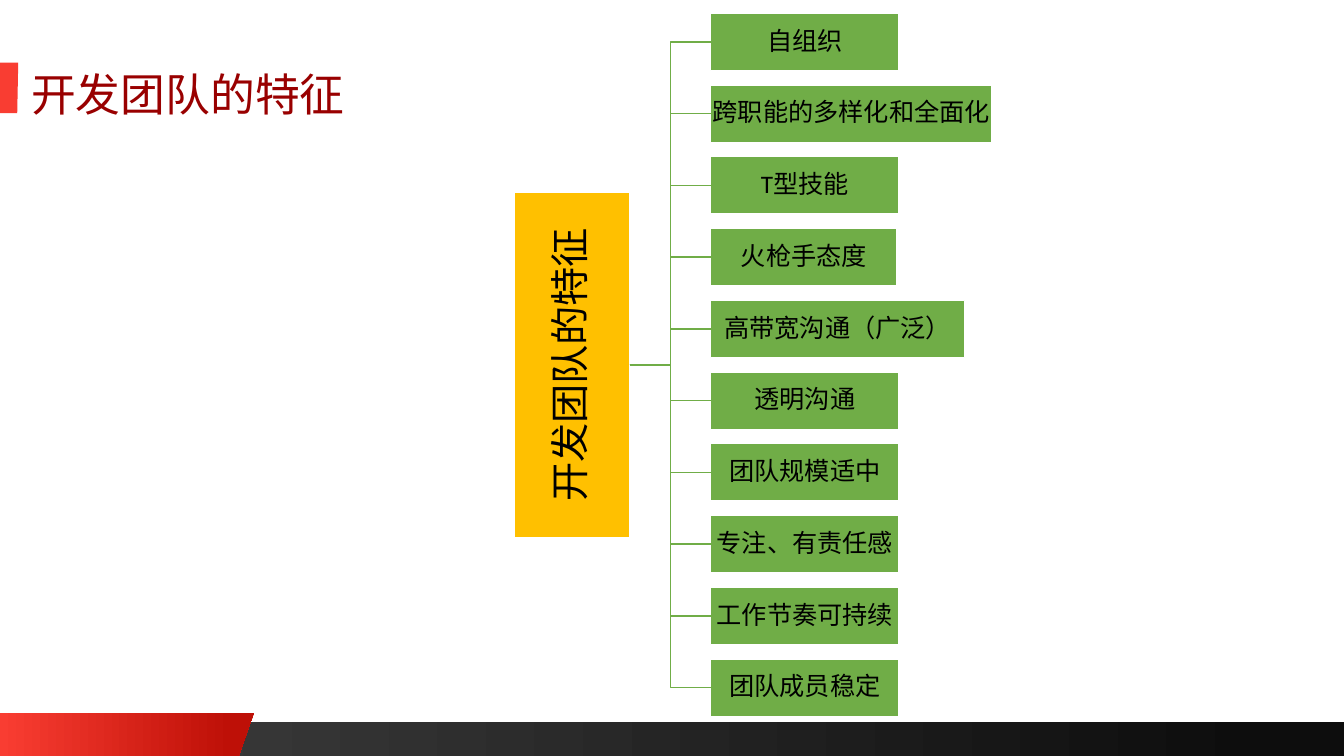
from lxml import etree
from pptx import Presentation, util as u
from pptx.dml import color
from pptx.enum import shapes, text
from pptx.oxml import ns

Pt = u.Pt
WIDTH, HEIGHT = 960, 540
TOPIC = "开发团队的特征"
NORMAL, WIDE = 134.6, 201
TRAITS = [
    ("自组织", NORMAL),
    ("跨职能的多样化和全面化", WIDE),
    ("T型技能", NORMAL),
    ("火枪手态度", 133.2),
    ("高带宽沟通（广泛）", 181.4),
    ("透明沟通", NORMAL),
    ("团队规模适中", NORMAL),
    ("专注、有责任感", NORMAL),
    ("工作节奏可持续", NORMAL),
    ("团队成员稳定", NORMAL),
]


def rgb(code):
    return color.RGBColor.from_string(code)


def write(shape, words, size=18, font="Calibri", ink="000000", inset=(1, 1),
          align=text.PP_ALIGN.CENTER, anchor=text.MSO_ANCHOR.MIDDLE,
          spacing=0.9, wrap=True):
    frame = shape.text_frame
    frame.word_wrap = wrap
    frame.auto_size = text.MSO_AUTO_SIZE.NONE
    frame.vertical_anchor = anchor
    frame.margin_left = frame.margin_right = Pt(inset[0])
    frame.margin_top = frame.margin_bottom = Pt(inset[1])
    para = frame.paragraphs[0]
    para.alignment = align
    para.line_spacing = spacing
    span = para.add_run()
    span.text = words
    span.font.size = Pt(size)
    span.font.name = font
    span.font.color.rgb = rgb(ink)


def paint(shape, fill, line=None):
    """Fill with one colour, or left to right with (position, colour) stops."""
    shape.shadow.inherit = False
    if isinstance(fill, str):
        shape.fill.solid()
        shape.fill.fore_color.rgb = rgb(fill)
    else:
        shape.fill.gradient()
        shape.fill.gradient_angle = 0
        for stop, (position, code) in zip(shape.fill.gradient_stops, fill):
            stop.position = position
            stop.color.rgb = rgb(code)
    if line:
        shape.line.color.rgb = rgb(line)
        shape.line.width = Pt(1)
    else:
        shape.line.fill.background()


def add_box(page, left, top, width, height, fill, line=None):
    box = page.shapes.add_shape(shapes.MSO_SHAPE.RECTANGLE,
                                Pt(left), Pt(top), Pt(width), Pt(height))
    paint(box, fill, line)
    return box


def add_slanted(page, left, top, width, height, slant, fill):
    """A block whose right side leans in by slant at the bottom."""
    builder = page.shapes.build_freeform(Pt(left), Pt(top))
    builder.add_line_segments([
        (Pt(left + width), Pt(top)),
        (Pt(left + width - slant), Pt(top + height)),
        (Pt(left), Pt(top + height)),
    ], close=True)
    paint(builder.convert_to_shape(), fill)


def add_footer(page, left, top, width, height):
    bar_top = top + 7
    add_box(page, left, bar_top, width, height - 7,
            [(0, "404040"), (0.94, "0D0D0D")])
    add_slanted(page, left, top, 181.4, height, 10.8,
                [(0, "F93D32"), (0.91, "BE1007")])


def add_heading(page, left, top, width, height):
    add_slanted(page, left, top + 4.5, 13, 36, 0.7, "F93D32")
    title = page.shapes.title
    title.left, title.top = Pt(left + 15), Pt(top)
    title.width, title.height = Pt(width - 15), Pt(height)
    write(title, TOPIC, size=32, font="Lato", ink="990000", inset=(7.2, 3.6),
          align=text.PP_ALIGN.LEFT, anchor=text.MSO_ANCHOR.TOP, spacing=1.1)


def join(page, start, end):
    """Elbow line from the right side of start to the left side of end."""
    link = page.shapes.add_connector(shapes.MSO_CONNECTOR.ELBOW, 0, 0, 0, 0)
    link.begin_connect(start, 3)
    link.end_connect(end, 1)
    link.line.color.rgb = rgb("70AD47")
    link.line.width = Pt(1)
    etree.SubElement(link._element.spPr, ns.qn("a:effectLst"))


def add_tree(page, left, top, height):
    # Root, with its text reading upwards
    root_width, root_height, gap = 82.8, 247, 57.6
    root = add_box(page, left, top + (height - root_height) / 2,
                   root_width, root_height, "FFC000", "FFFFFF")
    write(root, TOPIC, size=28)
    root.text_frame._txBody.bodyPr.set("vert", "vert270")

    # Branches at an even pitch
    branch_height = 41
    pitch = (height - branch_height) / (len(TRAITS) - 1)
    for index, (words, width) in enumerate(TRAITS):
        branch = add_box(page, left + root_width + gap, top + index * pitch,
                         width, branch_height, "70AD47", "FFFFFF")
        write(branch, words, wrap=False)
        join(page, root, branch)


def main():
    deck = Presentation()
    deck.slide_width, deck.slide_height = Pt(WIDTH), Pt(HEIGHT)
    page = deck.slides.add_slide(deck.slide_layouts[5])
    page.background.fill.solid()
    page.background.fill.fore_color.rgb = rgb("FFFFFF")
    add_footer(page, 0, 509, WIDTH, 31)
    add_heading(page, 0, 40.3, 661.6, 49)
    add_tree(page, 367.2, 9.5, 502.2)
    deck.save("out.pptx")


if __name__ == "__main__":
    main()
